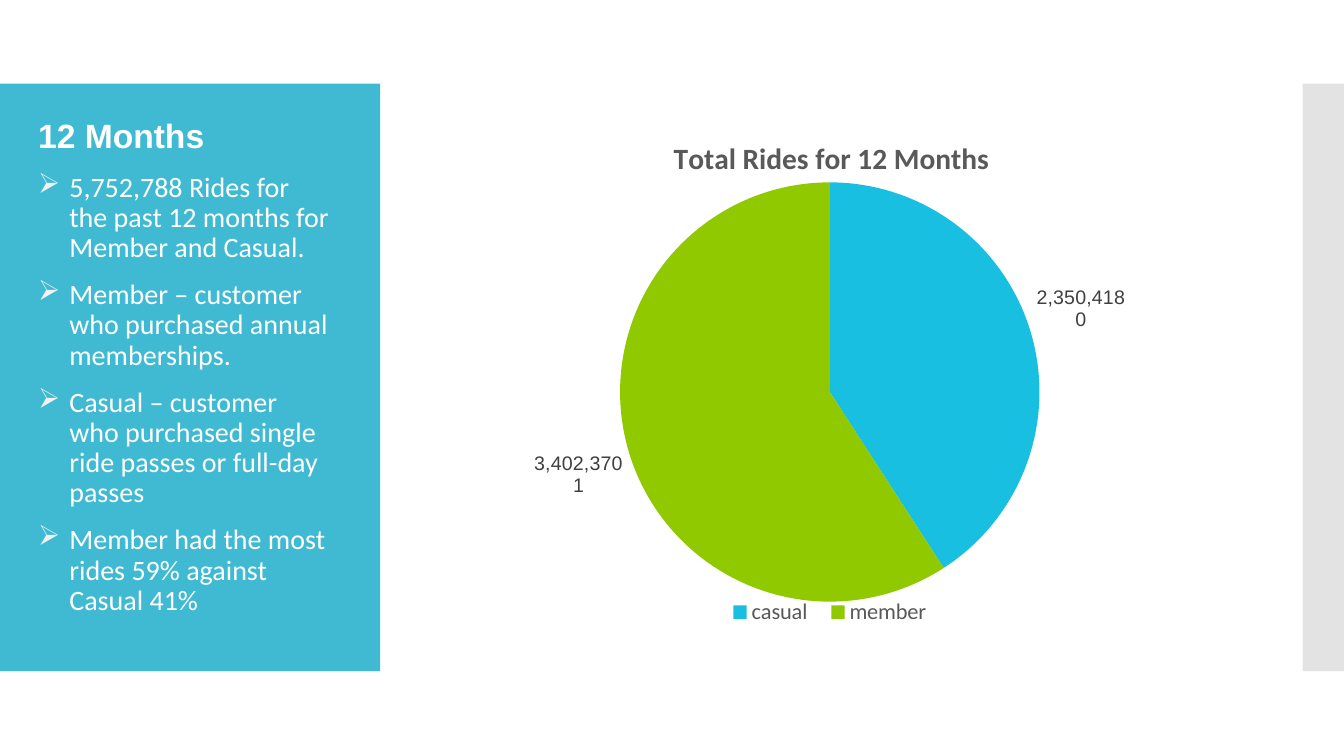
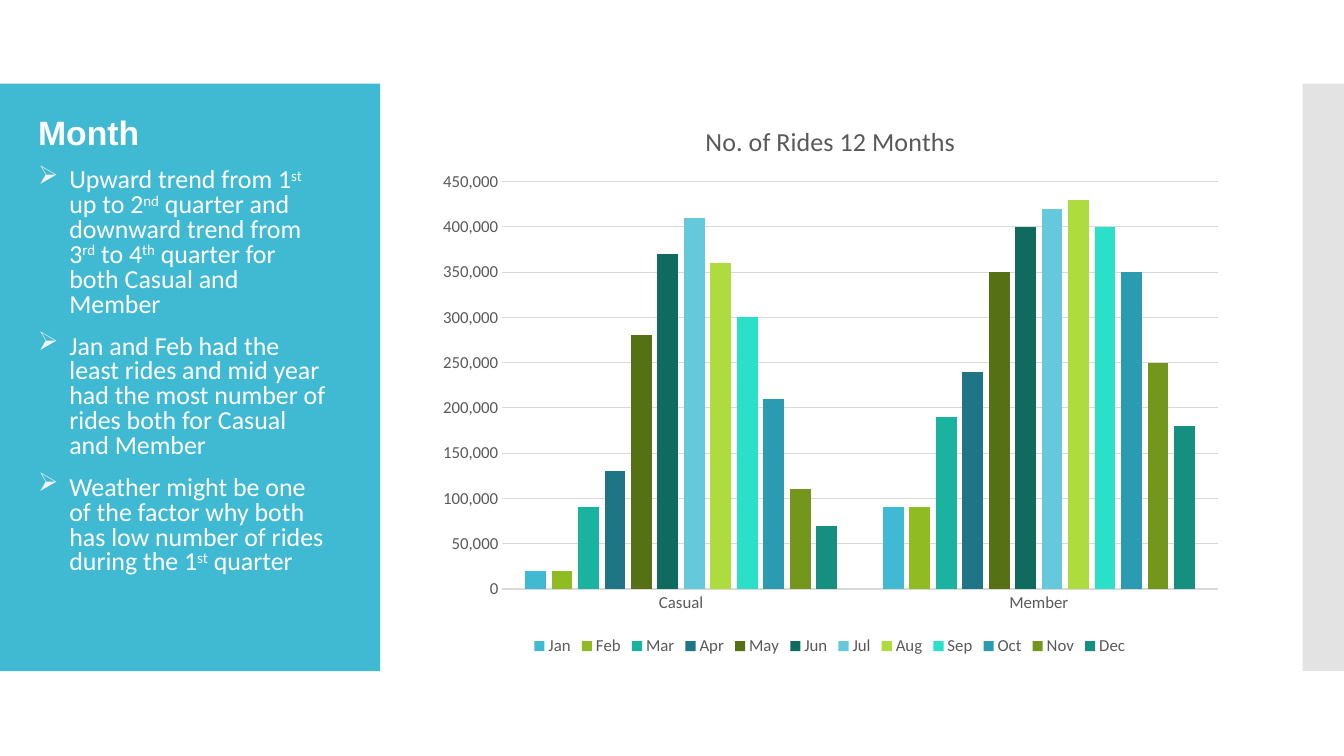
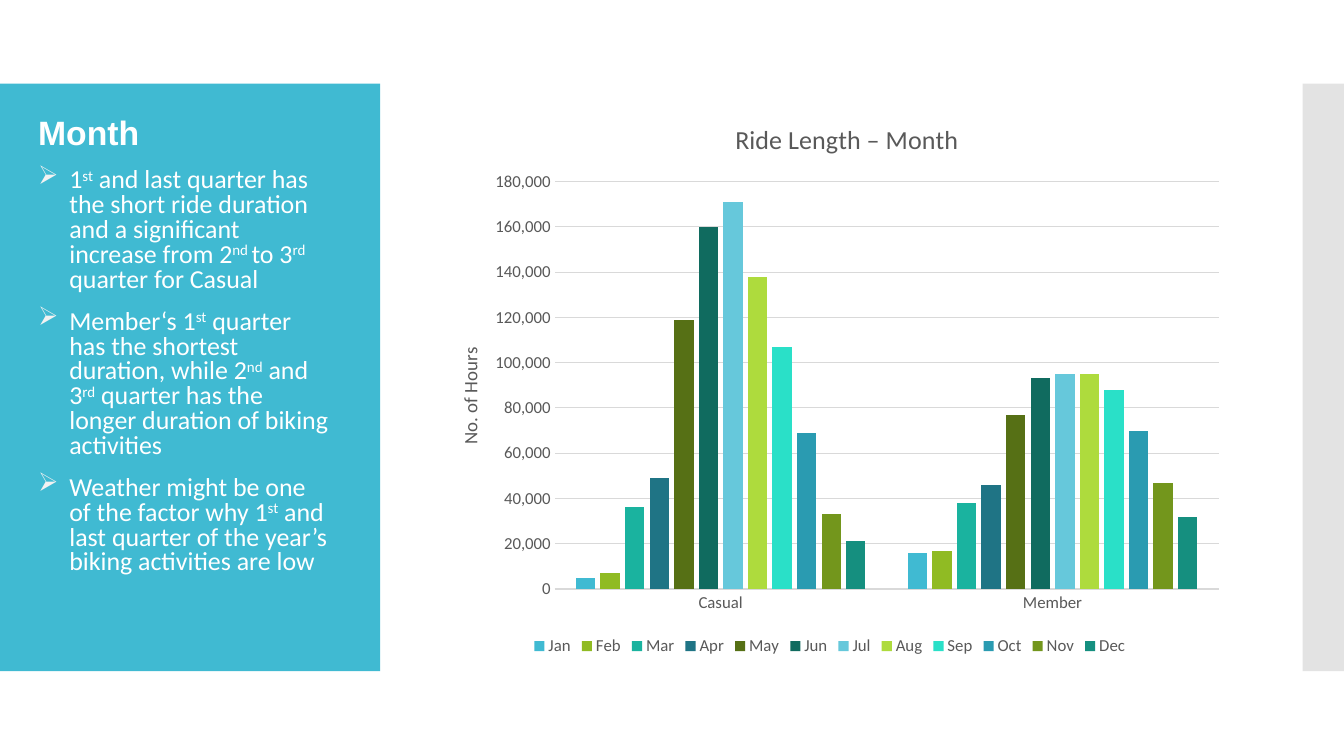
import dataclasses

import lxml.etree
import pptx
import pptx.chart.data
import pptx.dml.color
import pptx.enum.chart
import pptx.enum.shapes
import pptx.enum.text
import pptx.oxml.ns
import pptx.util

Inches, Pt = pptx.util.Inches, pptx.util.Pt
Rgb = pptx.dml.color.RGBColor.from_string
qn = pptx.oxml.ns.qn


@dataclasses.dataclass(frozen=True)
class Theme:
    panel: str = "40BAD2"
    edge: str = "C8C8C8"
    panel_text: str = "FFFFFF"
    bullet: str = "F2F2F2"
    chart_text: str = "595959"
    label_text: str = "404040"
    grid: str = "D9D9D9"
    pie: tuple = ("19BFE0", "90C900")
    months: tuple = ("40BAD2", "90BB23", "1AB39F", "1F7485", "567015", "106B5F",
                     "66C8DB", "AEDB3D", "2AE0C8", "2A9BB1", "73961C", "158F7F")
    heading_font: str = "Arial"
    body_font: str = "Calibri"
    axis_size: float = 12
    axis_title_size: float = 13.5
    label_size: float = 14


theme = Theme()
months = "Jan Feb Mar Apr May Jun Jul Aug Sep Oct Nov Dec".split()

# Slide content; ^ encloses superscript text, layouts are fractions of the chart
pages = [
    dict(
        heading="12 Months", heading_size=24, body_size=20, spacing=0.9,
        bullets=[
            "5,752,788 Rides for the past 12 months for Member and Casual.",
            "Member – customer who purchased annual memberships.",
            "Casual – customer who purchased single ride passes or full-day passes",
            "Member had the most rides 59% against Casual 41%",
        ],
        title="Total Rides for 12 Months", title_size=21, title_at=(0.3, 0.065),
        plot_at=(0.24, 0.15, 0.52, 0.75), legend_size=16,
        pie=[2350418, 3402370],
    ),
    dict(
        heading="Month", heading_size=24.1, body_size=18.5, spacing=0.8,
        bullets=[
            "Upward trend from 1^st^ up to 2^nd^ quarter and downward trend from "
            "3^rd^ to 4^th^ quarter for both Casual and Member",
            "Jan and Feb had the least rides and mid year had the most number of "
            "rides both for Casual and Member",
            "Weather might be one of the factor why both has low number of rides "
            "during the 1^st^ quarter",
        ],
        title="No. of Rides 12 Months", title_size=18.6, title_at=(0.34, 0.04),
        plot_at=(0.094, 0.152, 0.887, 0.722), legend_size=12,
        casual=[20000, 20000, 90000, 130000, 280000, 370000,
                410000, 360000, 300000, 210000, 110000, 70000],
        member=[90000, 90000, 190000, 240000, 350000, 400000,
                420000, 430000, 400000, 350000, 250000, 180000],
        top=450000, step=50000, axis_title=None,
    ),
    dict(
        heading="Month", heading_size=24.1, body_size=18.5, spacing=0.8,
        bullets=[
            "1^st^ and last quarter has the short ride duration and a significant "
            "increase from 2^nd ^to 3^rd^ quarter for Casual",
            "Member‘s 1^st^ quarter has the shortest duration, while 2^nd^ and "
            "3^rd^ quarter has the longer duration of biking activities",
            "Weather might be one of the factor why 1^st^ and last quarter of the "
            "year’s biking activities are low",
        ],
        title="Ride Length – Month", title_size=18.6, title_at=(0.377, 0.036),
        plot_at=(0.159, 0.152, 0.823, 0.722), legend_size=12,
        casual=[5000, 7000, 36000, 49000, 119000, 160000,
                171000, 138000, 107000, 69000, 33000, 21000],
        member=[16000, 17000, 38000, 46000, 77000, 93000,
                95000, 95000, 88000, 70000, 47000, 32000],
        top=180000, step=20000, axis_title="No. of Hours",
    ),
]


def set_font(font, size, color, name=theme.body_font, bold=False):
    font.size, font.name, font.bold = Pt(size), name, bold
    font.color.rgb = Rgb(color)


def place(element, index, fractions):
    """Give a chart part a manual layout, as child number index."""
    for old in element.findall(qn("c:layout")):
        element.remove(old)
    layout = lxml.etree.Element(qn("c:layout"))
    manual = lxml.etree.SubElement(layout, qn("c:manualLayout"))
    if index == 0:
        lxml.etree.SubElement(manual, qn("c:layoutTarget"), val="inner")
    for mode in ("xMode", "yMode"):
        lxml.etree.SubElement(manual, qn("c:" + mode), val="edge")
    for side, value in zip("xywh", fractions):
        lxml.etree.SubElement(manual, qn("c:" + side), val=str(value))
    element.insert(index, layout)


deck = pptx.Presentation()
deck.slide_width, deck.slide_height = Inches(13.33), Inches(7.5)

for content in pages:
    page = deck.slides.add_slide(deck.slide_layouts[6])

    # Side bands
    for left, width, color in ((0, 3.77, theme.panel), (12.92, 0.41, theme.edge)):
        band = page.shapes.add_shape(pptx.enum.shapes.MSO_SHAPE.RECTANGLE,
                                     Inches(left), Inches(0.83), Inches(width), Inches(5.83))
        band.shadow.inherit = False
        band.line.fill.background()
        band.fill.solid()
        band.fill.fore_color.rgb = Rgb(color)
        if color == theme.edge:
            tint = band.fill._xPr.find(".//" + qn("a:srgbClr"))
            lxml.etree.SubElement(tint, qn("a:alpha"), val="50000")

    # Heading and bullets
    box = page.shapes.add_textbox(Inches(0.28), Inches(1.14), Inches(3.1), Inches(5.22))
    frame = box.text_frame
    frame.word_wrap = True
    frame.vertical_anchor = pptx.enum.text.MSO_ANCHOR.TOP
    frame.text = content["heading"]
    set_font(frame.paragraphs[0].runs[0].font, content["heading_size"],
             theme.panel_text, theme.heading_font, True)
    for bullet in content["bullets"]:
        para = frame.add_paragraph()
        for number, piece in enumerate(bullet.split("^")):
            span = para.add_run()
            span.text = piece
            set_font(span.font, content["body_size"], theme.panel_text)
            if number % 2:
                span.font._element.set("baseline", "30000")
        properties = para._p.get_or_add_pPr()
        properties.set("marL", str(Inches(0.31)))
        properties.set("indent", str(-Inches(0.31)))
        bullet_color = lxml.etree.SubElement(properties, qn("a:buClr"))
        lxml.etree.SubElement(bullet_color, qn("a:srgbClr"), val=theme.bullet)
        lxml.etree.SubElement(properties, qn("a:buChar"), char="➢")
    for para in frame.paragraphs:
        para.line_spacing = content["spacing"]
        para.space_before = Pt(12)

    # Chart data
    is_pie = "pie" in content
    data = pptx.chart.data.CategoryChartData(number_format="#,##0")
    if is_pie:
        kind = pptx.enum.chart.XL_CHART_TYPE.PIE
        data.categories = ["casual", "member"]
        data.add_series("Series 1", content["pie"])
    else:
        kind = pptx.enum.chart.XL_CHART_TYPE.COLUMN_CLUSTERED
        data.categories = ["Casual", "Member"]
        for month, *rides in zip(months, content["casual"], content["member"]):
            data.add_series(month, rides)

    # Chart frame, title and legend
    chart = page.shapes.add_chart(kind, Inches(4.23), Inches(0.95),
                                  Inches(8), Inches(5.6), data).chart
    set_font(chart.font, 10, "000000")
    chart.has_title = True
    title = chart.chart_title
    title.text_frame.text = content["title"]
    set_font(title.text_frame.paragraphs[0].runs[0].font, content["title_size"],
             theme.chart_text, bold=is_pie)
    place(title._element, 1, content["title_at"])
    place(chart._chartSpace.chart.plotArea, 0, content["plot_at"])
    chart.has_legend = True
    chart.legend.position = pptx.enum.chart.XL_LEGEND_POSITION.BOTTOM
    chart.legend.include_in_layout = False
    set_font(chart.legend.font, content["legend_size"], theme.chart_text)
    plot = chart.plots[0]
    plot.vary_by_categories = is_pie

    # Pie slices and labels
    if is_pie:
        place(chart.legend._element, 1, (0.36, 0.89, 0.28, 0.05))
        series = plot.series[0]
        for number, color in enumerate(theme.pie):
            fill = series.points[number].format.fill
            fill.solid()
            fill.fore_color.rgb = Rgb(color)
        labels = series.data_labels
        labels.show_value = labels.show_percentage = True
        labels.number_format, labels.number_format_is_linked = "#,##0", False
        labels.position = pptx.enum.chart.XL_LABEL_POSITION.OUTSIDE_END
        set_font(labels.font, theme.label_size, theme.label_text, theme.heading_font)
        separator = lxml.etree.Element(qn("c:separator"))
        separator.text = "\n"
        labels._element.find(qn("c:showBubbleSize")).addnext(separator)
        continue

    # Columns and axes
    plot.gap_width, plot.overlap = 219, -27
    for series, color in zip(plot.series, theme.months):
        series.format.fill.solid()
        series.format.fill.fore_color.rgb = Rgb(color)
    value_axis = chart.value_axis
    for axis in (chart.category_axis, value_axis):
        axis.major_tick_mark = axis.minor_tick_mark = pptx.enum.chart.XL_TICK_MARK.NONE
        set_font(axis.tick_labels.font, theme.axis_size, theme.chart_text)
    value_axis.format.line.fill.background()
    value_axis.minimum_scale, value_axis.maximum_scale = 0, content["top"]
    value_axis.major_unit = content["step"]
    value_axis.tick_labels.number_format = "#,##0"
    value_axis.tick_labels.number_format_is_linked = False
    for line in (chart.category_axis.format.line, value_axis.major_gridlines.format.line):
        line.color.rgb = Rgb(theme.grid)
        line.width = Pt(0.75)
    if content["axis_title"]:
        axis_title = value_axis.axis_title
        axis_title.text_frame.text = content["axis_title"]
        axis_title.text_frame._txBody.bodyPr.set("rot", "-5400000")
        axis_title.text_frame._txBody.bodyPr.set("vert", "horz")
        set_font(axis_title.text_frame.paragraphs[0].runs[0].font,
                 theme.axis_title_size, theme.chart_text)
        place(axis_title._element, 1, (0.034, 0.44))

deck.save("out.pptx")
